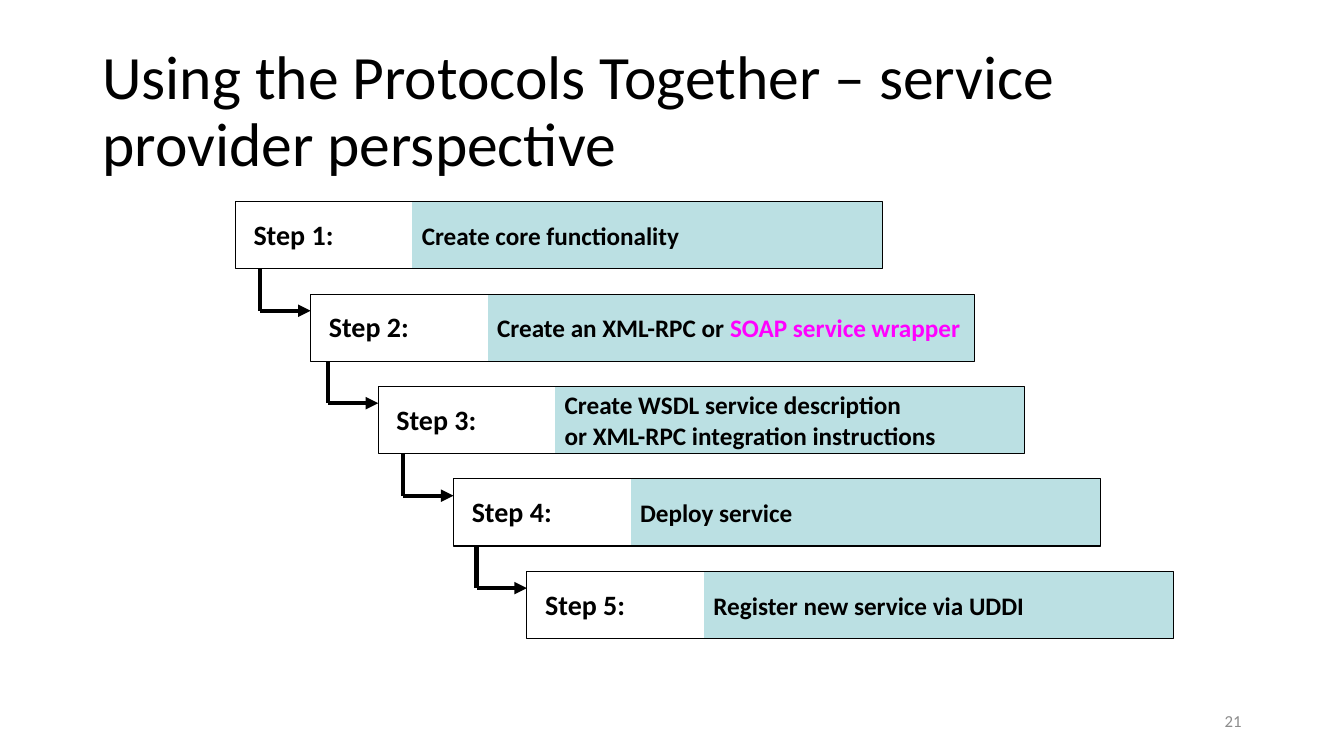
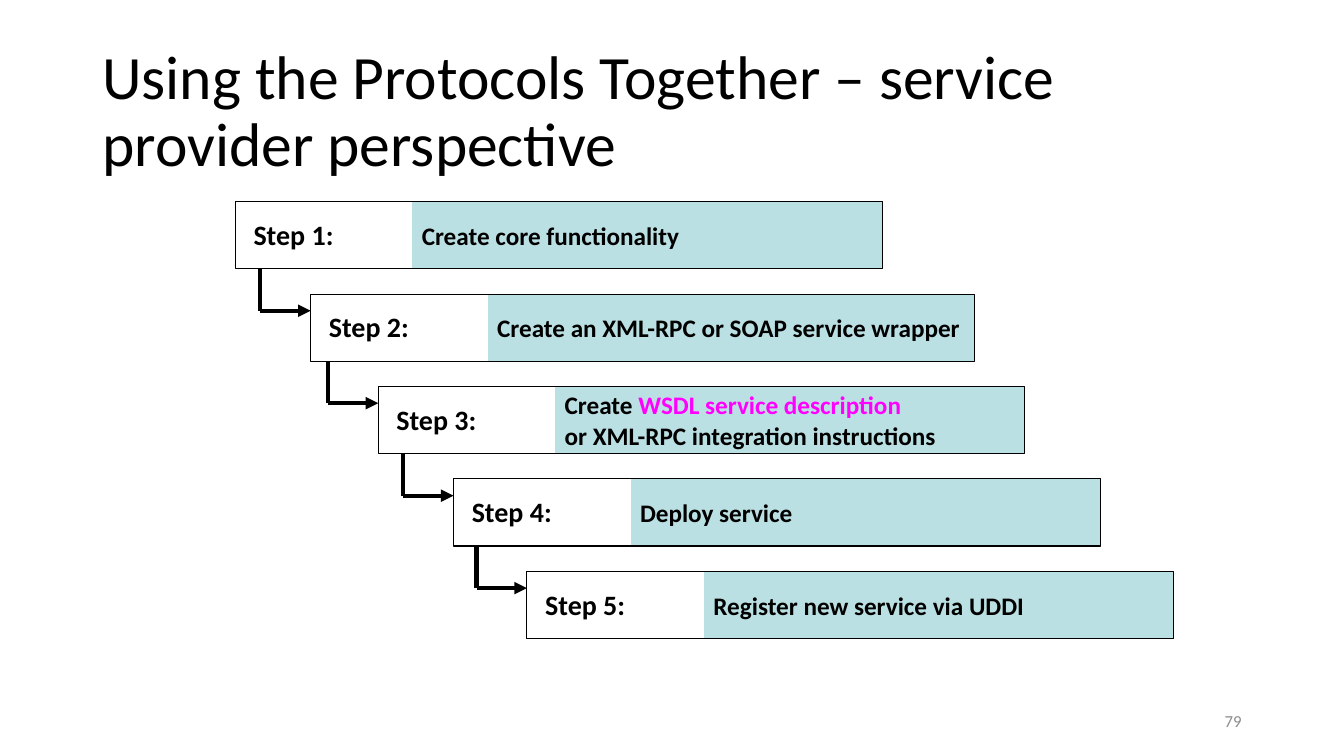
from pptx import Presentation
from pptx.dml.color import RGBColor
from pptx.enum.shapes import MSO_CONNECTOR, MSO_SHAPE
from pptx.enum.text import MSO_ANCHOR, MSO_AUTO_SIZE, PP_ALIGN
from pptx.oxml.ns import qn
from pptx.util import Cm, Pt
from lxml.etree import SubElement

# Shared look
FONT = "Calibri"
BLACK, WHITE, GREY = "000000", "FFFFFF", "8C8C8C"
TEAL, MAGENTA = "BBE0E3", "FF00FF"
TITLE = "Using the Protocols Together – service provider perspective"

# Staircase of steps, in centimetres
FIRST_TOP, PITCH, HEIGHT = 5.08, 2.33, 1.69
LABEL_WIDTH = 4.45
ARROW_RUN, ARROW_DROP = 1.27, 0.42
STEPS = [  # left, width, description lines
    (5.93, 16.3, ["Create core functionality"]),
    (7.83, 16.72, ["Create an XML-RPC or SOAP service wrapper"]),
    (9.53, 16.3, ["Create WSDL service description",
                  "or XML-RPC integration instructions"]),
    (11.43, 16.3, ["Deploy service"]),
    (13.28, 16.3, ["Register new service via UDDI"]),
]

# Slide number and the phrase it highlights
SLIDES = [("21", "SOAP service wrapper"), ("79", "WSDL service description")]


def color(hex_code):
    return RGBColor.from_string(hex_code)


def write(frame, lines, size, ink=BLACK, bold=False, highlight=None):
    for number, line in enumerate(lines):
        paragraph = frame.paragraphs[0] if number == 0 else frame.add_paragraph()
        paragraph.alignment = PP_ALIGN.LEFT
        font = paragraph.font
        font.name, font.size, font.bold = FONT, Pt(size), bold
        font.color.rgb = color(ink)
        if highlight and highlight in line:
            before, phrase, after = line.partition(highlight)
            for part in filter(None, (before, phrase, after)):
                run = paragraph.add_run()
                run.text = part
                run.font.color.rgb = color(MAGENTA if part == phrase else ink)
        else:
            paragraph.add_run().text = line


deck = Presentation()
deck.slide_width, deck.slide_height = Cm(33.87), Cm(19.05)

for page, highlight in SLIDES:
    slide = deck.slides.add_slide(deck.slide_layouts[6])
    shapes = slide.shapes

    # Slide number
    footer = shapes.add_textbox(Cm(23.92), Cm(17.66), Cm(7.62), Cm(1.01)).text_frame
    footer.word_wrap = True
    footer.vertical_anchor = MSO_ANCHOR.MIDDLE
    write(footer, [page], 12, GREY)
    footer.paragraphs[0].alignment = PP_ALIGN.RIGHT

    # Title
    title = shapes.add_textbox(Cm(2.33), Cm(1.01), Cm(29.21), Cm(3.68)).text_frame
    title.word_wrap = True
    title.vertical_anchor = MSO_ANCHOR.MIDDLE
    write(title, [TITLE], 44)
    title.paragraphs[0].line_spacing = 0.9

    for index, (left, width, description) in enumerate(STEPS):
        top = FIRST_TOP + index * PITCH

        # Description panel
        panel = shapes.add_shape(MSO_SHAPE.RECTANGLE, Cm(left + LABEL_WIDTH), Cm(top),
                                 Cm(width - LABEL_WIDTH), Cm(HEIGHT))
        panel.shadow.inherit = False
        panel.fill.solid()
        panel.fill.fore_color.rgb = color(TEAL)
        panel.line.color.rgb = color(WHITE)
        panel.line.width = Pt(0.75)
        panel.text_frame.word_wrap = False
        panel.text_frame.vertical_anchor = MSO_ANCHOR.MIDDLE
        write(panel.text_frame, description, 18, bold=True, highlight=highlight)

        # Step label
        label = shapes.add_textbox(Cm(left + 0.21), Cm(top + 0.27),
                                   Cm(2.54), Cm(1.11)).text_frame
        label.word_wrap = False
        label.auto_size = MSO_AUTO_SIZE.SHAPE_TO_FIT_TEXT
        write(label, [f"Step {index + 1}:"], 20, bold=True)

        # Frame around label and panel
        border = shapes.add_shape(MSO_SHAPE.RECTANGLE, Cm(left), Cm(top),
                                  Cm(width), Cm(HEIGHT))
        border.shadow.inherit = False
        border.fill.background()
        border.line.color.rgb = color(BLACK)
        border.line.width = Pt(0.75)

        # Arrow from the previous step: across with a head, then the drop
        if index == 0:
            continue
        corner_x, corner_y = left - ARROW_RUN, top + ARROW_DROP
        previous_bottom = top - PITCH + HEIGHT
        for start_x, start_y, end_x, end_y, has_head in (
                (corner_x, corner_y, left, corner_y, True),
                (corner_x, previous_bottom, corner_x, corner_y, False)):
            segment = shapes.add_connector(MSO_CONNECTOR.STRAIGHT, Cm(start_x),
                                           Cm(start_y), Cm(end_x), Cm(end_y))
            segment.line.color.rgb = color(BLACK)
            segment.line.width = Pt(3)
            properties = segment._element.spPr
            if has_head:
                SubElement(properties.find(qn("a:ln")), qn("a:tailEnd"), type="triangle")
            SubElement(properties, qn("a:effectLst"))

deck.save("out.pptx")
